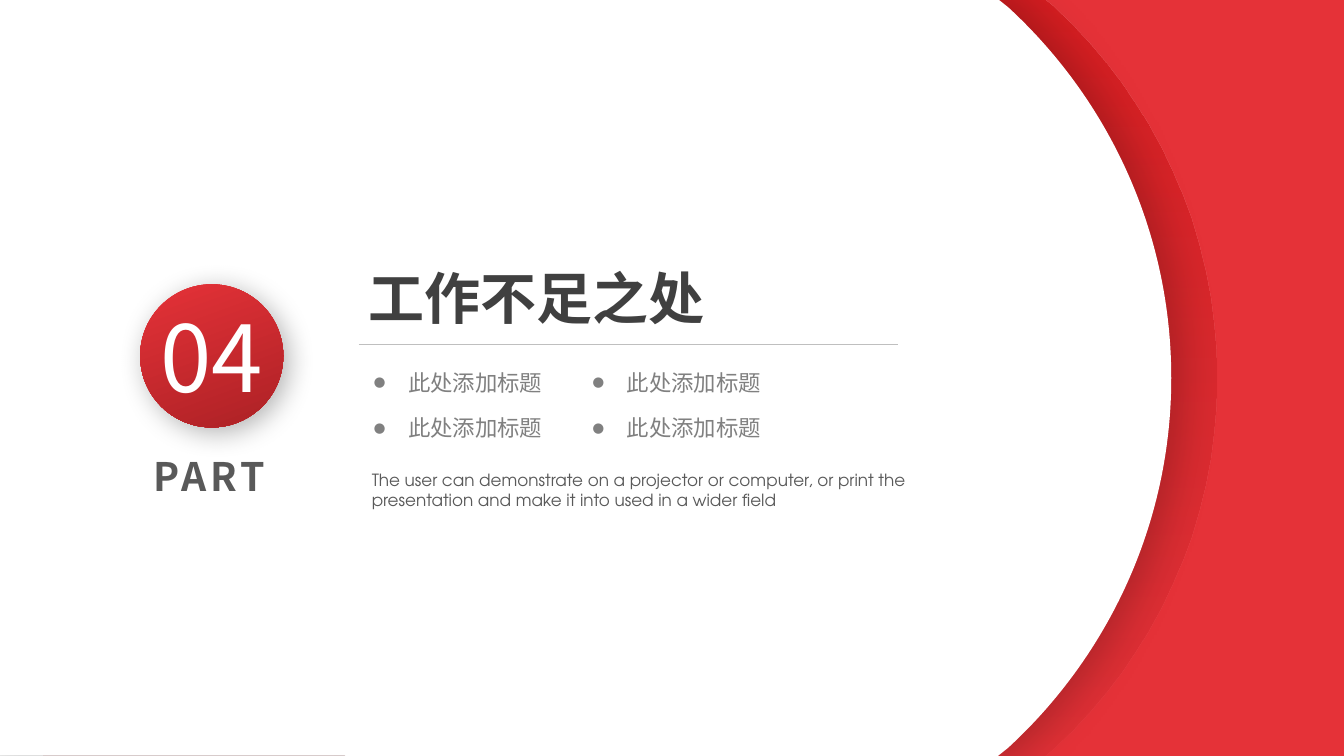
from lxml import etree
from pptx import Presentation, util as u
from pptx.dml.color import RGBColor
from pptx.enum import lang, shapes, text
from pptx.oxml.ns import qn

WIDTH, HEIGHT = 40 / 3, 7.5
COLORS = {
    "red": "E53238", "dark red": "AC2125", "deep red": "C00000",
    "white": "FFFFFF", "black": "000000", "line": "BFBFBF",
    "title": "404040", "body": "595959", "item": "808080",
}
LATIN, HAN, ROUND = "Calibri", "Noto Sans CJK SC", "TeX Gyre Adventor"

# Two by two grid of list items
GRID_LEFT, GRID_TOP, COLUMN, ROW = 3.33, 3.61, 2.17, 0.45


def color(name):
    return RGBColor.from_string(COLORS[name])


def add_xml(parent, tag, **attributes):
    child = etree.SubElement(parent, qn(tag))
    for key, value in attributes.items():
        child.set(key, str(value))
    return child


def place(shape, left, top, width, height):
    shape.left, shape.top = u.Inches(left), u.Inches(top)
    shape.width, shape.height = u.Inches(width), u.Inches(height)


def paint(shape, name):
    shape.shadow.inherit = False
    shape.line.fill.background()
    shape.fill.solid()
    shape.fill.fore_color.rgb = color(name)


def paint_gradient(shape, stops, angle):
    """Blend two (color, opacity percent) stops, angle clockwise."""
    shape.shadow.inherit = False
    shape.line.fill.background()
    shape.fill.gradient()
    shape.fill.gradient_angle = 360 - angle
    for stop, (name, opacity) in zip(shape.fill.gradient_stops, stops):
        stop.color.rgb = color(name)
        if opacity < 100:
            rgb = stop._element.find(qn("a:srgbClr"))
            add_xml(rgb, "a:alpha", val=opacity * 1000)


def cast_shadow(shape, opacity, blur, distance, angle, scale=100):
    effects = shape._element.spPr.find(qn("a:effectLst"))
    outer = add_xml(effects, "a:outerShdw", blurRad=u.Pt(blur),
                    dist=u.Pt(distance), dir=angle * 60000,
                    sx=scale * 1000, sy=scale * 1000,
                    algn="ctr", rotWithShape=0)
    rgb = add_xml(outer, "a:srgbClr", val=COLORS["black"])
    add_xml(rgb, "a:alpha", val=opacity * 1000)


def curve_segments(shape, first, count):
    """Turn each three line segments from first on into one cubic curve."""
    lines = list(shape._element.iter(qn("a:lnTo")))
    for start in range(first, first + 3 * count, 3):
        curve = etree.Element(qn("a:cubicBezTo"))
        lines[start].addprevious(curve)
        for line in lines[start:start + 3]:
            curve.append(line[0])
            line.getparent().remove(line)


def add_curved_panel(slide, left):
    """A panel as high as the slide whose right side bulges outwards."""
    straight = [(9.92, -0.01), (5.88, -0.01), (3.45, -0.01), (0, -0.01),
                (0, 7.49), (3.44, 7.49), (3.45, HEIGHT), (9.92, HEIGHT),
                (10.02, 7.42)]
    bulge = [(11.01, 6.51), (11.64, 5.2), (11.64, 3.75),
             (11.64, 2.29), (11.01, 0.98), (10.02, 0.07)]
    points = [(u.Inches(left + x), u.Inches(y)) for x, y in straight + bulge]
    builder = slide.shapes.build_freeform(*points[0])
    builder.add_line_segments(points[1:], close=True)
    panel = builder.convert_to_shape()
    curve_segments(panel, first=len(straight) - 1, count=2)
    return panel


def write(shape, words, align="LEFT", anchor="TOP", wrap=True, grow=True,
          bullet=False, spacing=0, **font_format):
    frame = shape.text_frame
    frame.text = words
    frame.word_wrap = wrap
    frame.vertical_anchor = getattr(text.MSO_ANCHOR, anchor)
    frame.auto_size = (text.MSO_AUTO_SIZE.SHAPE_TO_FIT_TEXT if grow
                       else text.MSO_AUTO_SIZE.NONE)
    paragraph = frame.paragraphs[0]
    paragraph.alignment = getattr(text.PP_ALIGN, align)
    paragraph.space_before = u.Pt(0)
    if bullet:
        properties = paragraph._p.get_or_add_pPr()
        properties.set("marL", str(u.Inches(0.62)))
        properties.set("indent", str(u.Inches(-0.35)))
        add_xml(properties, "a:buFont", typeface=LATIN)
        add_xml(properties, "a:buChar", char="●")
    font = paragraph.runs[0].font
    font.color.rgb = color(font_format.pop("color"))
    font.size = u.Pt(font_format.pop("size"))
    for key, value in font_format.items():
        setattr(font, key, value)
    if spacing:
        font._element.set("spc", str(spacing * 100))


def add_text(slide, box, words, **format_values):
    shape = slide.shapes.add_textbox(0, 0, 0, 0)
    place(shape, *box)
    write(shape, words, **format_values)


def fill_placeholder(slide, shape, box, words, **format_values):
    """Fill a placeholder and bring it in front of the background."""
    slide.shapes._spTree.append(shape._element)
    place(shape, *box)
    write(shape, words, wrap=False, name=LATIN,
          language_id=lang.MSO_LANGUAGE_ID.SIMPLIFIED_CHINESE, **format_values)


def add_rule(slide, left, right, top):
    rule = slide.shapes.add_connector(
        shapes.MSO_CONNECTOR.STRAIGHT,
        *(u.Inches(value) for value in (left, top, right, top)))
    rule.line.color.rgb = color("line")
    rule.line.width = u.Pt(1)
    add_xml(rule._element.spPr, "a:effectLst")


def add_background(slide):
    band = slide.shapes.add_shape(shapes.MSO_SHAPE.RECTANGLE, 0, 0, 0, 0)
    place(band, 9.53, -0.01, WIDTH - 9.53, HEIGHT + 0.01)
    paint(band, "red")
    shade = add_curved_panel(slide, 0.43)
    paint_gradient(shade, [("deep red", 41), ("dark red", 10)], 90)
    panel = add_curved_panel(slide, -0.02)
    paint(panel, "white")
    cast_shadow(panel, opacity=20, blur=29, distance=0, angle=0, scale=102)


def add_badge(slide):
    badge = slide.shapes.add_shape(shapes.MSO_SHAPE.OVAL, 0, 0, 0, 0)
    place(badge, 1.39, 2.82, 1.42, 1.42)
    paint_gradient(badge, [("red", 100), ("dark red", 100)], 70)
    cast_shadow(badge, opacity=30, blur=20, distance=5, angle=45)
    write(badge, "04", align="CENTER", anchor="MIDDLE", wrap=False, grow=False,
          name=HAN, size=66, color="white")
    add_text(slide, (1.42, 4.44, 1.36, 0.57), "PART", align="JUSTIFY",
             name=HAN, size=28, color="body", bold=True, spacing=3)


def main():
    presentation = Presentation()
    presentation.slide_width = u.Inches(WIDTH)
    presentation.slide_height = u.Inches(HEIGHT)
    comparison = presentation.slide_layouts[4]
    slide = presentation.slides.add_slide(comparison)
    title, *items = slide.placeholders

    add_background(slide)

    # Heading and rule
    fill_placeholder(slide, title, (3.56, 2.56, 3.58, 0.77), "工作不足之处",
                     size=40, color="title", bold=True)
    add_rule(slide, 3.56, 8.91, 3.42)

    # List items, column by column
    for index, item in enumerate(items):
        column, row = divmod(index, 2)
        box = (GRID_LEFT + column * COLUMN, GRID_TOP + row * ROW, 2.18, 0.37)
        fill_placeholder(slide, item, box, "此处添加标题", bullet=True,
                         size=16, color="item", bold=False)

    # Description and part number
    add_text(slide, (3.59, 4.61, 6.54, 0.5),
             "The user can demonstrate on a projector or computer, or print the "
             "presentation and make it into used in a wider field",
             name=ROUND, size=12, color="body")
    add_badge(slide)
    presentation.save("out.pptx")


if __name__ == "__main__":
    main()
